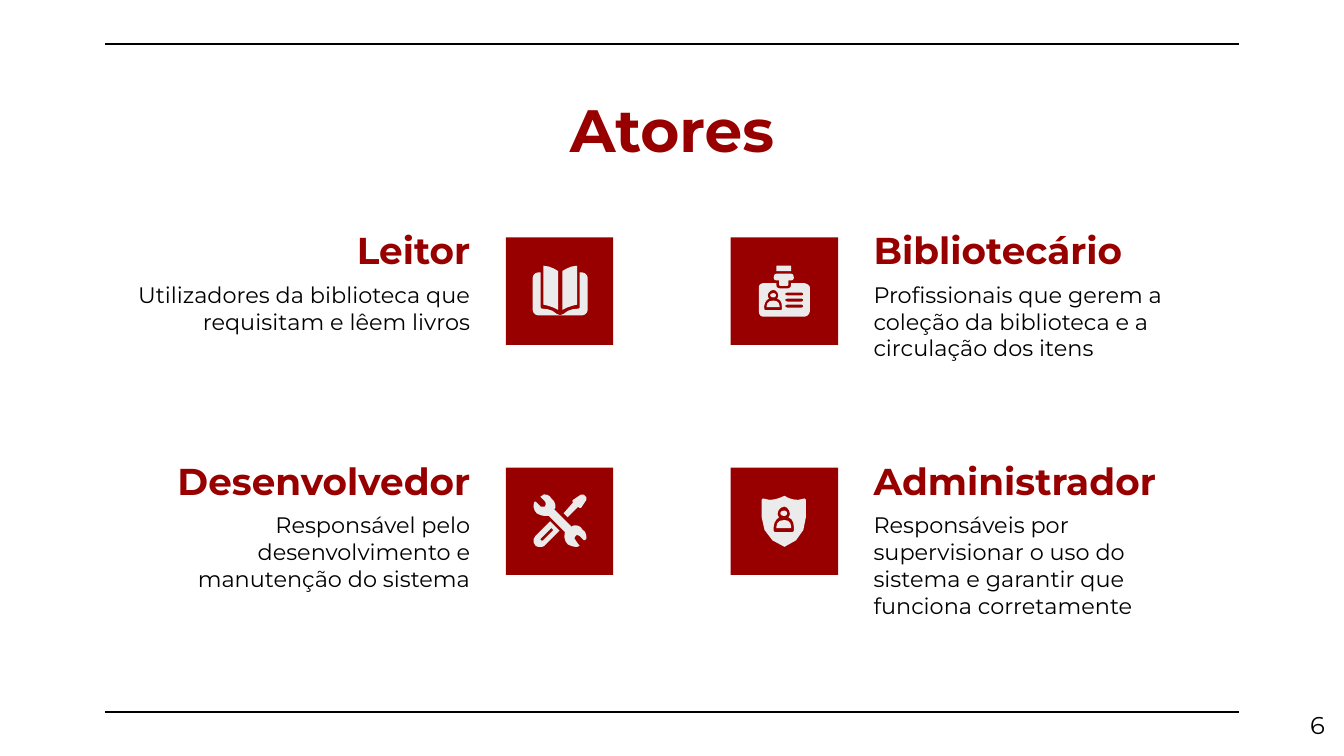
from lxml import etree
from pptx import Presentation
from pptx.dml.color import RGBColor
from pptx.enum.shapes import MSO_CONNECTOR, MSO_SHAPE
from pptx.enum.text import MSO_ANCHOR, MSO_AUTO_SIZE, PP_ALIGN
from pptx.oxml.ns import qn
from pptx.util import Cm, Pt

LEFT, CENTER, RIGHT = PP_ALIGN.LEFT, PP_ALIGN.CENTER, PP_ALIGN.RIGHT
TOP, BOTTOM = MSO_ANCHOR.TOP, MSO_ANCHOR.BOTTOM
RECT, STRAIGHT = MSO_SHAPE.RECTANGLE, MSO_CONNECTOR.STRAIGHT

FONT = "Montserrat"
COLORS = {"red": "980000", "black": "000000", "icon": "EBEBEB"}
FORMATS = {
    "title": {"size": Pt(32), "bold": True},
    "heading": {"size": Pt(20), "bold": True},
    "body": {"size": Pt(12), "bold": False},
    "number": {"size": Pt(13), "bold": False},
}
TILE = 2.03      # side of an icon tile, cm
GRID = 80        # icon units along a tile side
DETAIL = 10      # freeform steps per icon unit


# Icon parts: M, L and C (cubic curve) commands on the tile grid
def outline(text, steps=3):
    contours, tokens = [], text.split()
    while tokens:
        command = tokens.pop(0)
        count = 6 if command == "C" else 2
        values = [float(v) for v in tokens[:count]]
        del tokens[:count]
        points = list(zip(values[::2], values[1::2]))
        if command == "M":
            contours.append(points)
        elif command == "L":
            contours[-1] += points
        else:
            curve = [contours[-1][-1]] + points
            for i in range(1, steps + 1):
                t = i / steps
                weights = ((1 - t) ** 3, 3 * t * (1 - t) ** 2, 3 * t * t * (1 - t), t ** 3)
                contours[-1].append(tuple(
                    sum(w * p[axis] for w, p in zip(weights, curve)) for axis in (0, 1)))
    return contours


def moved(contours, dx, dy, sx=1, sy=1):
    return [[(dx + x * sx, dy + y * sy) for x, y in c] for c in contours]


HALF_BOOK = [
    outline("M 55 26 L 55 52 C 55 52 55 53 54 53 C 50 53 46 54 43 57 C 42 57 41 58 40.5 58 "
            "L 57 58 C 59 58 61 56 61 54 L 61 30 C 61 28 59 26 57 26"),
    outline("M 53 21 C 49 21 45 23 42 25 L 42 54 C 45 52 49 51 53 50"),
]
BOOK = HALF_BOOK + [moved(part, 81, 0, sx=-1) for part in HALF_BOOK]

PERSON = outline(
    "M 0 0 C 2 0 4 3 4 5 C 4 6 4 7 3 8 C 6 9 7 12 7 15 L 7 17 C 7 18 7 19 6 19 "
    "L -7 19 C -8 19 -8 18 -8 17 L -8 15 C -8 12 -6 9 -4 8 C -5 7 -5 6 -5 5 C -5 3 -3 0 0 0")
HEAD = outline("M 0 3 C -2 3 -3 4 -3 5 C -3 6 -2 7 0 7 C 1 7 2 6 2 5 C 2 4 1 3 0 3")
TORSO = outline("M 0 10 C -4 10 -6 12 -6 15 L -6 16 L 5 16 L 5 15 C 5 12 3 10 0 10")
TEXT_BAR = outline("M 42 0 L 53 0 C 54.5 0 54.5 2.2 53 2.2 L 42 2.2 C 40 2.2 40 0 42 0")


def with_person(plate, *place):
    """Cut a person's outline out of a plate and fill in the head and torso."""
    return [plate + moved(PERSON, *place), moved(HEAD, *place), moved(TORSO, *place)]


CARD = outline(
    "M 24 34 C 22 34 21 36 21 37 L 21 55 C 21 57 22 59 24 59 L 55 59 C 57 59 59 57 59 55 "
    "L 59 37 C 59 36 57 34 55 34 L 45 34 L 45 35 C 45 37 44 38 42 38 L 37 38 "
    "C 35 38 34 37 34 35 L 34 34")
for row in range(3):
    CARD += moved(TEXT_BAR, 0, 41 + 4.5 * row)
BADGE = with_person(CARD, 32, 39, 0.87, 0.8) + [
    outline("M 34 27 C 33 27 32 28 32 30 C 32 31 33 32 34 32 L 36 32 L 36 35 "
            "C 36 36 37 36 37 36 L 42 36 C 42 36 43 36 43 35 L 43 32 L 45 32 "
            "C 46 32 47 31 47 30 C 47 28 46 27 45 27"),
    outline("M 35 21 C 34 21 34 21 34 22 L 34 25 L 45 25 L 45 22 C 45 21 45 21 44 21"),
]

SHIELD = with_person(outline(
    "M 40 21 C 36 23 32 24 29 24 C 27 24 26 23 24 23 L 23 24 L 23 37 C 23 47 30 56 40 59 "
    "C 50 56 56 47 56 37 L 56 24 L 55 23 C 53 23 52 24 50 24 C 47 24 43 23 40 21"), 40, 29)

WRENCH = outline(
    "M 29 20 C 28 20 28 20 27 21 C 26 21 26 21 26 22 L 29 25 C 30 26 30 28 29 29 "
    "C 28 29 27 29 26 29 L 23 26 C 22 25 22 25 21 26 C 20 29 21 32 23 34 "
    "C 25 35 27 36 29 36 L 32 36 L 44 48 C 43 52 44 55 46 57 C 48 58 50 59 52 59 "
    "C 53 59 54 59 55 58 L 54 57 L 52 54 C 51 53 51 52 52 51 C 52 50 54 50 55 51 L 58 54 "
    "C 59 54 59 54 60 53 C 60 50 60 48 57 46 C 56 44 54 43 52 43 C 51 43 50 43 49 44 "
    "L 36 31 L 37 30 C 37 28 37 25 34 23 C 33 21 31 20 29 20")
HANDLE = outline(
    "M 33 40 L 22 51 C 20 53 20 56 22 58 C 23 59 24 59 26 59 C 27 59 28 59 29 58 L 40 47 "
    "M 34 45 L 35 46 L 35 47 L 28 54 L 27 54.5 L 26 54 L 26 53 L 33 46")
SCREWDRIVER_TIP = outline(
    "M 57 20 L 56 20 L 50 24 C 50 24 49 25 50 26 L 43 34 L 46 37 L 54 29 "
    "C 54 30 55 30 56 30 L 60 24 C 60 23 60 23 60 22 L 58 20")
TOOLS = [WRENCH, HANDLE, SCREWDRIVER_TIP]

ACTORS = [
    ("Leitor", "Utilizadores da biblioteca que requisitam e lêem livros", BOOK),
    ("Bibliotecário",
     "Profissionais que gerem a coleção da biblioteca e a circulação dos itens", BADGE),
    ("Desenvolvedor", "Responsável pelo desenvolvimento e manutenção do sistema", TOOLS),
    ("Administrador",
     "Responsáveis por supervisionar o uso do sistema e garantir que funciona corretamente",
     SHIELD),
]


def color(name):
    return RGBColor.from_string(COLORS[name])


def write(sp, text, style, color_name, align, anchor=TOP):
    tf = sp.text_frame
    frame = {"word_wrap": True, "auto_size": MSO_AUTO_SIZE.NONE, "vertical_anchor": anchor}
    frame.update({f"margin_{side}": Cm(0.25) for side in ("left", "right", "top", "bottom")})
    for name, value in frame.items():
        setattr(tf, name, value)
    p = tf.paragraphs[0]
    p.alignment = align
    r = p.add_run()
    r.text = text
    for name, value in {"name": FONT, **FORMATS[style]}.items():
        setattr(r.font, name, value)
    r.font.color.rgb = color(color_name)


def add_text(s, box, *args):
    write(s.shapes.add_textbox(*map(Cm, box)), *args)


def paint(sp, color_name):
    sp.shadow.inherit = False
    sp.fill.solid()
    sp.fill.fore_color.rgb = color(color_name)
    sp.line.fill.background()


def add_rule(s, x, y, width):
    line = s.shapes.add_connector(STRAIGHT, Cm(x), Cm(y), Cm(x + width), Cm(y))
    line.line.color.rgb = color("black")
    line.line.width = Pt(0.75)
    etree.SubElement(line._element.spPr, qn("a:effectLst"))


def add_title(s, box, text):
    sp = s.shapes.title
    for name, value in zip(("left", "top", "width", "height"), box):
        setattr(sp, name, Cm(value))
    write(sp, text, "title", "red", CENTER)


def add_icon(s, x, y, parts):
    paint(s.shapes.add_shape(RECT, Cm(x), Cm(y), Cm(TILE), Cm(TILE)), "red")
    group = s.shapes.add_group_shape()
    for part in parts:
        first, *holes = moved(part, 0, 0, DETAIL, DETAIL)
        builder = group.shapes.build_freeform(*first[0], scale=Cm(TILE) / (GRID * DETAIL))
        builder.add_line_segments(first[1:], close=True)
        for points in holes:
            builder.move_to(*points[0])
            builder.add_line_segments(points[1:], close=True)
        paint(builder.convert_to_shape(Cm(x), Cm(y)), "icon")


def add_actor(s, x, y, width, actor, icon_right):
    heading, body, icon = actor
    text_width = 6.83
    text_x = x if icon_right else x + width - text_width
    align = RIGHT if icon_right else LEFT
    add_text(s, (text_x, y - 0.28, text_width, 1.19), heading, "heading", "red", align, BOTTOM)
    add_text(s, (text_x, y + 0.57, text_width, 2.44), body, "body", "black", align)
    add_icon(s, x + width - TILE if icon_right else x, y, icon)


def main():
    prs = Presentation()
    prs.slide_width, prs.slide_height = Cm(25.4), Cm(14.29)
    s = prs.slides.add_slide(prs.slide_layouts[5])

    # Frame rules and title
    for y in (0.83, 13.46):
        add_rule(s, 1.98, y, 21.44)
    add_title(s, (1.98, 1.5, 21.44, 1.6), "Atores")

    # Two by two grid of actors, icons facing the middle
    for i, actor in enumerate(ACTORS):
        row, column = divmod(i, 2)
        add_actor(s, 2.31 + 11.5 * column, 4.49 + 4.35 * row, 9.28, actor, column == 0)

    # Slide number
    add_text(s, (23.77, 13.18, 1.52, 1.09), "6", "number", "black", RIGHT)
    prs.save("out.pptx")


if __name__ == "__main__":
    main()
